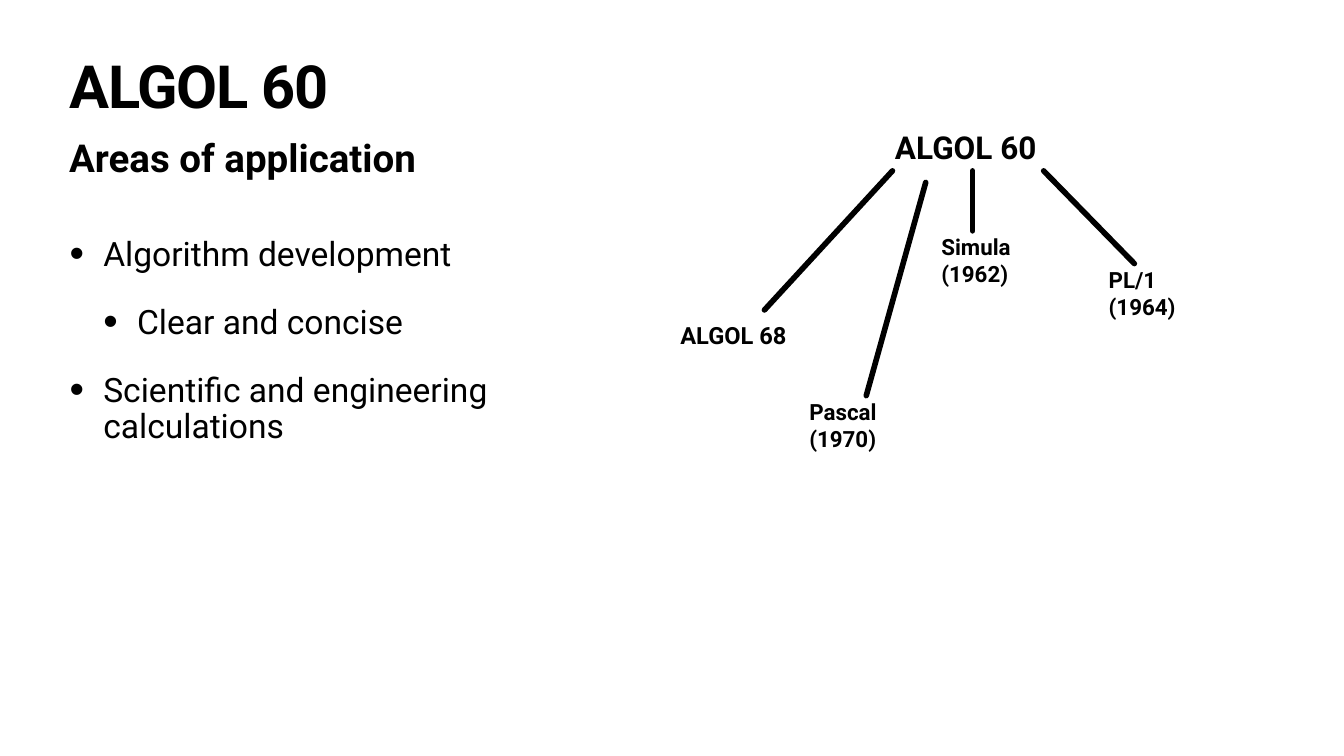
from lxml import etree
from pptx import Presentation
from pptx.dml.color import RGBColor
from pptx.enum.shapes import MSO_CONNECTOR
from pptx.enum.text import MSO_ANCHOR, MSO_AUTO_SIZE, PP_ALIGN
from pptx.oxml.ns import qn
from pptx.util import Pt

PX = 9144  # EMU per px, 100 px to the inch
BLACK = RGBColor(0, 0, 0)
WHITE = RGBColor(255, 255, 255)
FONT = "Roboto"
INDENT = 67
TOP_SIDE = 0

APPLICATIONS = [
    ("Algorithm development", 0),
    ("Clear and concise", 1),
    ("Scientific and engineering calculations", 0),
]

# Name, left, top, size, line start, line end
DESCENDANTS = [
    ("ALGOL 68", 1345, 632, 33.8, (1517, 615), (1771, 339)),
    ("Simula (1962)", 1863, 458, 31.9, (1930, 458), (1930, 339)),
    ("Pascal (1970)", 1601, 785, 31.9, (1719, 785), (1837, 362)),
    ("PL/1 (1964)", 2195, 523, 31.9, (2251, 523), (2071, 339)),
]


def px(*values):
    return [value * PX for value in values]


def place(shape, left, top, width, height):
    shape.left, shape.top, shape.width, shape.height = px(left, top, width, height)


def write(paragraph, text, *, size, bold=False, line_spacing=1.0, before=0, tracking=None):
    paragraph.alignment = PP_ALIGN.LEFT
    paragraph.line_spacing = line_spacing
    paragraph.space_before = Pt(before)
    run = paragraph.add_run()
    run.text = text
    run.font.name = FONT
    run.font.size = Pt(size)
    run.font.bold = bold
    run.font.color.rgb = BLACK
    if tracking is not None:
        run.font._element.set("spc", str(tracking))


def set_bullet(paragraph, character=None):
    """Give the paragraph a hanging bullet, or none at all."""
    properties = paragraph._p.get_or_add_pPr()
    hang = INDENT * PX if character else 0
    properties.set("marL", str(hang * (paragraph.level + 1)))
    properties.set("indent", str(-hang))
    if character:
        etree.SubElement(properties, qn("a:buSzPct"), val="123000")
        etree.SubElement(properties, qn("a:buChar"), char=character)
    else:
        etree.SubElement(properties, qn("a:buNone"))


def prepare_frame(shape, inset=5, anchor=MSO_ANCHOR.TOP):
    frame = shape.text_frame
    frame.word_wrap = True
    frame.auto_size = MSO_AUTO_SIZE.NONE
    frame.vertical_anchor = anchor
    frame.margin_left = frame.margin_right = inset * PX
    frame.margin_top = frame.margin_bottom = inset * PX
    return frame


def fill_title(title):
    place(title, 132, 118, 1069, 157)
    frame = prepare_frame(title, inset=6)
    write(frame.paragraphs[0], "ALGOL 60", size=85, bold=True, line_spacing=0.8, tracking=-170)


def fill_subtitle(subtitle):
    place(subtitle, 132, 260, 1069, 102)
    paragraph = prepare_frame(subtitle, anchor=MSO_ANCHOR.MIDDLE).paragraphs[0]
    write(paragraph, "Areas of application", size=55, bold=True)
    set_bullet(paragraph)


def fill_list(body):
    place(body, 132, 465, 1069, 903)
    frame = prepare_frame(body, inset=6)
    for index, (text, level) in enumerate(APPLICATIONS):
        paragraph = frame.add_paragraph() if index else frame.paragraphs[0]
        paragraph.level = level
        write(paragraph, text, size=48, line_spacing=0.9, before=45)
        set_bullet(paragraph, "•")


def add_label(slide, text, left, top, size, width=236):
    label = slide.shapes.add_textbox(*px(left, top, width, 119))
    write(prepare_frame(label).paragraphs[0], text, size=size, bold=True)
    return label


def add_branch(slide, label, start, end):
    branch = slide.shapes.add_connector(MSO_CONNECTOR.STRAIGHT, *px(*start, *end))
    branch.line.color.rgb = BLACK
    branch.line.width = Pt(8)
    line = branch.line._get_or_add_ln()
    line.set("cap", "rnd")
    etree.SubElement(branch._element.spPr, qn("a:effectLst"))
    top_middle = (label.left + label.width // 2, label.top)
    if tuple(px(*start)) == top_middle:
        branch.begin_connect(label, TOP_SIDE)


def main():
    presentation = Presentation()
    presentation.slide_width, presentation.slide_height = px(2667, 1500)
    slide = presentation.slides.add_slide(presentation.slide_layouts[3])
    slide.background.fill.solid()
    slide.background.fill.fore_color.rgb = WHITE

    # Title, subtitle and list
    title, subtitle, body = slide.placeholders
    fill_title(title)
    fill_subtitle(subtitle)
    fill_list(body)

    # Family tree
    add_label(slide, "ALGOL 60", 1771, 249, 45, width=318)
    for name, left, top, size, start, end in DESCENDANTS:
        label = add_label(slide, name, left, top, size)
        add_branch(slide, label, start, end)

    # Remove the layout's date, footer and number if they came along
    for placeholder in list(slide.placeholders):
        if not placeholder.text_frame.text:
            placeholder._element.getparent().remove(placeholder._element)

    presentation.save("out.pptx")


if __name__ == "__main__":
    main()
